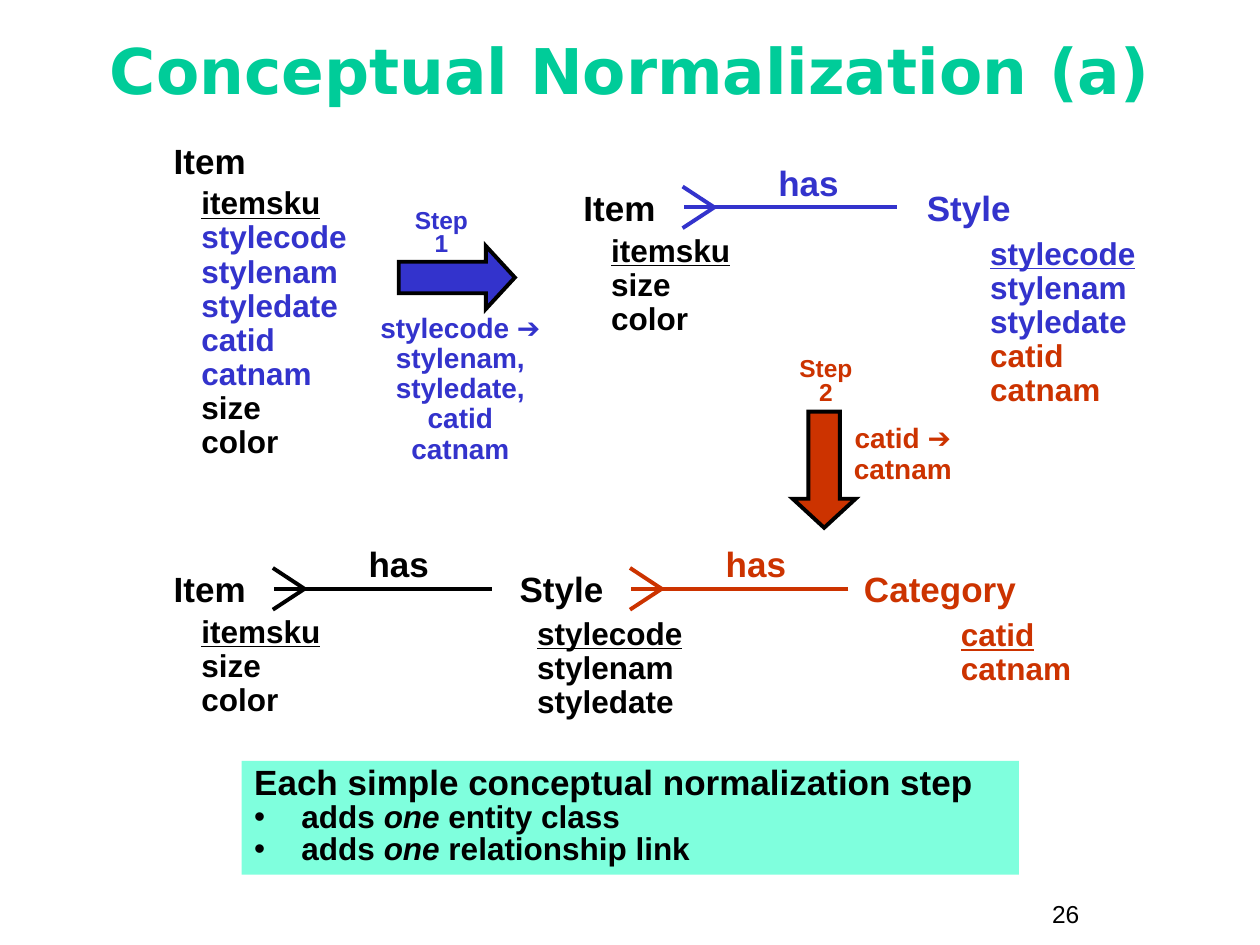
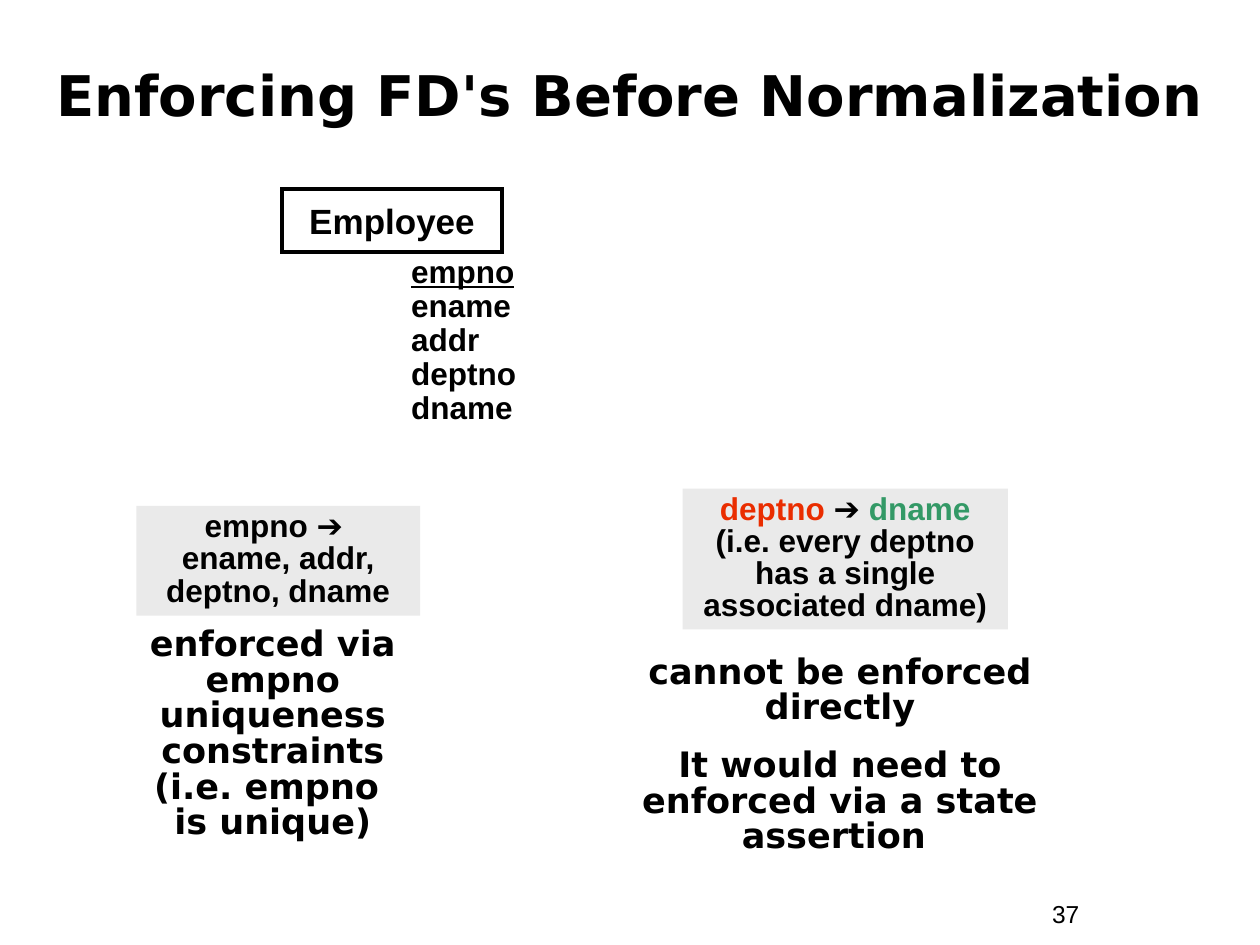
import pptx
import pptx.util
import pptx.dml.color
import pptx.enum.shapes
import pptx.enum.text
import lxml.etree

Cm = pptx.util.Cm
Pt = pptx.util.Pt
RGB = pptx.dml.color.RGBColor
Kind = pptx.enum.shapes.MSO_SHAPE
Anchor = pptx.enum.text.MSO_ANCHOR
Align = pptx.enum.text.PP_ALIGN
Fit = pptx.enum.text.MSO_AUTO_SIZE

BLACK = RGB(0, 0, 0)
GREEN = RGB(0, 0xCC, 0x99)
BLUE = RGB(0x33, 0x33, 0xCC)
RUST = RGB(0xCC, 0x33, 0)
MINT = RGB(0x7F, 0xFF, 0xDD)
GREY = RGB(0xEA, 0xEA, 0xEA)
RED = RGB(0xEA, 0x2D, 0)
LEAF = RGB(0x33, 0x99, 0x66)

SANS, HEAD = "Arial", "DejaVu Sans"
LEFT, MID = {"alignment": Align.LEFT}, {"alignment": Align.CENTER}

BASE = {"name": SANS, "bold": True}
LABEL = (BASE | {"size": Pt(20)}, MID)
FIELD = (BASE | {"size": Pt(18)}, LEFT | {"line_spacing": 0.9})
RULE = (BASE | {"size": Pt(16)}, MID | {"line_spacing": 0.9})
STEP = (BASE | {"size": Pt(14)}, MID | {"line_spacing": 0.8})
CARD = (BASE | {"size": Pt(18)}, MID | {"line_spacing": 0.85})
NOTE = (BASE | {"size": Pt(20), "name": HEAD}, MID | {"line_spacing": 0.85})
LIST = (BASE | {"size": Pt(18)}, LEFT | {"line_spacing": 0.85, "space_before": Pt(0)})
PAGE = ({"name": SANS, "size": Pt(14), "bold": False}, LEFT)

TITLES = [
    ("Conceptual Normalization (a)", 0.36, 36, GREEN, 26),
    ("Enforcing FD's Before Normalization", 0.84, 32, BLACK, 37),
]
NAMES = [
    ("Item", 4.23, 3.24, BLACK),
    ("Item", 12.49, 4.18, BLACK),
    ("Style", 19.53, 4.18, BLUE),
    ("Item", 4.23, 11.87, BLACK),
    ("Style", 11.32, 11.87, BLACK),
    ("Category", 18.95, 11.87, RUST),
]
FIELDS = [
    (3.81, 3.66, 6.15, [("itemsku", BLACK), ("stylecode stylenam styledate catid catnam", BLUE),
                        ("size color", BLACK)]),
    (12.07, 4.61, 4.01, [("itemsku size color", BLACK)]),
    (19.71, 4.67, 3.53, [("stylecode stylenam styledate", BLUE), ("catid catnam", RUST)]),
    (3.81, 12.29, 2.97, [("itemsku size color", BLACK)]),
    (10.58, 12.33, 3.61, [("stylecode stylenam styledate", BLACK)]),
    (19.12, 12.36, 2.9, [("catid catnam", RUST)]),
]
LINKS = [(13.76, 18.08, 4.18, BLUE), (5.5, 9.91, 11.87, BLACK), (12.7, 17.1, 11.87, RUST)]
ARROWS = [
    (Kind.RIGHT_ARROW, (8.04, 4.96, 2.34, 1.27), BLUE),
    (Kind.DOWN_ARROW, (15.98, 8.3, 1.27, 2.34), RUST),
]
TEXTS = [
    ("Step 1", (7.95, 4.12, 1.9, 1.22), STEP, BLUE),
    ("Step 2", (15.7, 7.11, 1.9, 1.22), STEP, RUST),
    ("stylecode ➔ stylenam, styledate,\ncatid\ncatnam", (7.16, 6.21, 4.24, 3.3), RULE, BLUE),
    ("catid ➔ catnam", (16.51, 8.44, 3.38, 1.47), RULE, RUST),
]
LEAD = "Each simple conceptual normalization step"
POINTS = ["entity class", "relationship link"]

STAFF = "empno ename addr deptno dname"
CARDS = [
    ((2.75, 10.2, 5.72, 2.21), [("empno ➔ \nename, addr, deptno, dname", BLACK)]),
    ((13.76, 9.85, 6.56, 2.84), [
        ("deptno ", RED), ("➔ ", BLACK), ("dname\n", LEAF),
        ("(i.e. every deptno has a single associated dname)", BLACK)]),
]
NOTES = [
    ((2.11, 12.53, 6.78, 4.57),
     ["enforced via\nempno uniqueness constraints\n(i.e. empno \nis unique)"]),
    ((12.07, 13.09, 9.73, 3.58),
     ["cannot be enforced directly", "It would need to enforced via a state assertion "]),
]


def apply(item, values):
    for key, value in values.items():
        setattr(item, key, value)


def append(node, tag):
    lxml.etree.SubElement(node, pptx.oxml.ns.qn(tag))


def place(shape, area):
    apply(shape, dict(zip(("left", "top", "width", "height"), map(Cm, area))))


def write(frame, paras, look, gap=0):
    font, form = look
    for pos, runs in enumerate(paras):
        para = frame.add_paragraph() if pos else frame.paragraphs[0]
        apply(para, form)
        if pos and gap:
            para.space_before = Pt(gap)
        for text, color, *more in runs:
            for row, part in enumerate(text.split("\n")):
                if row:
                    para.add_line_break()
                if part:
                    run = para.add_run()
                    run.text = part
                    apply(run.font, font | (more[0] if more else {}))
                    run.font.color.rgb = color


def box(slide, area, paras, look, gap=0, **form):
    shape = slide.shapes.add_textbox(*map(Cm, area))
    apply(shape.text_frame, {"word_wrap": True} | form)
    write(shape.text_frame, paras, look, gap)


def solid(slide, kind, area, fill=None, edge=None):
    shape = slide.shapes.add_shape(kind, *map(Cm, area))
    shape.shadow.inherit = False
    for part, color in ((shape.fill, fill), (shape.line.fill, edge)):
        if color is None:
            part.background()
        else:
            part.solid()
            part.fore_color.rgb = color
    if edge is not None:
        shape.line.width = Pt(2.25)
        append(shape.line._ln, "a:miter")
    return shape


def line(slide, ends, color):
    wire = slide.shapes.add_connector(pptx.enum.shapes.MSO_CONNECTOR.STRAIGHT, *map(Cm, ends))
    wire.line.color.rgb = color
    wire.line.width = Pt(2.25)
    append(wire._element.spPr, "a:effectLst")


def link(slide, left, right, y, color):
    tip = left + 0.64
    line(slide, (right, y, left + 0.03, y), color)
    for side in (-0.42, 0.42):
        line(slide, (tip, y, left, y + side), color)
    box(slide, (left + 0.42, y - 1.05, 4.24, 1.12), [[("has", color)]], LABEL)


def fields(slide, left, top, width, groups):
    rows = [(word, color) for words, color in groups for word in words.split()]
    paras = [[(word, color, {"underline": not pos})] for pos, (word, color) in enumerate(rows)]
    box(slide, (left, top, width, 0.69 * len(rows) + 0.25), paras, FIELD)


def start(deck, layout, title, top, size, color, page):
    slide = deck.slides.add_slide(deck.slide_layouts[layout])
    head = slide.shapes.title
    place(head, (0.85, top, 23.7, 2.33))
    apply(head.text_frame, {"vertical_anchor": Anchor.MIDDLE, "auto_size": Fit.NONE})
    write(head.text_frame, [[(title, color, {"size": Pt(size)})]], NOTE)
    box(slide, (20.96, 17.99, 2.34, 0.86), [[(str(page), BLACK)]], PAGE)
    return slide


def steps(deck):
    slide = start(deck, 1, *TITLES[0])
    for name, x, y, color in NAMES:
        box(slide, (x - 2, y - 0.85, 4, 1.7), [[(name, color)]], LABEL,
            word_wrap=False, vertical_anchor=Anchor.MIDDLE)
    for item in FIELDS:
        fields(slide, *item)
    for item in LINKS:
        link(slide, *item)
    for kind, area, color in ARROWS:
        arrow = solid(slide, kind, area, color, BLACK)
        arrow.adjustments[1] = 0.46
    for text, area, look, color in TEXTS:
        box(slide, area, [[(text, color)]], look)

    body = slide.placeholders[1]
    place(body, (4.87, 15.34, 15.67, 2.29))
    body.fill.solid()
    body.fill.fore_color.rgb = MINT
    apply(body.text_frame, {"auto_size": Fit.NONE, "vertical_anchor": Anchor.TOP})
    paras = [[(LEAD, BLACK, {"size": Pt(20)})]]
    paras += [[("adds ", BLACK), ("one", BLACK, {"italic": True}), (" " + end, BLACK)]
              for end in POINTS]
    write(body.text_frame, paras, LIST)
    props = body.text_frame.paragraphs[0]._p.get_or_add_pPr()
    props.set("marL", "0")
    props.set("indent", "0")
    append(props, "a:buNone")


def limits(deck):
    slide = start(deck, 5, *TITLES[1])
    frame = solid(slide, Kind.RECTANGLE, (5.68, 3.81, 4.45, 1.27), edge=BLACK).text_frame
    apply(frame, {"word_wrap": False, "vertical_anchor": Anchor.MIDDLE})
    write(frame, [[("Employee", BLACK)]], LABEL)
    fields(slide, 8.04, 5.04, 2.97, [(STAFF, BLACK)])
    for area, runs in CARDS:
        frame = solid(slide, Kind.RECTANGLE, area, GREY).text_frame
        apply(frame, {"word_wrap": True, "vertical_anchor": Anchor.TOP})
        write(frame, [runs], CARD)
    for area, paras in NOTES:
        box(slide, area, [[(text, BLACK)] for text in paras], NOTE, 12.5)


def main():
    deck = pptx.Presentation()
    apply(deck, {"slide_width": Cm(25.4), "slide_height": Cm(19.05)})
    steps(deck)
    limits(deck)
    deck.save("out.pptx")


if __name__ == "__main__":
    main()
